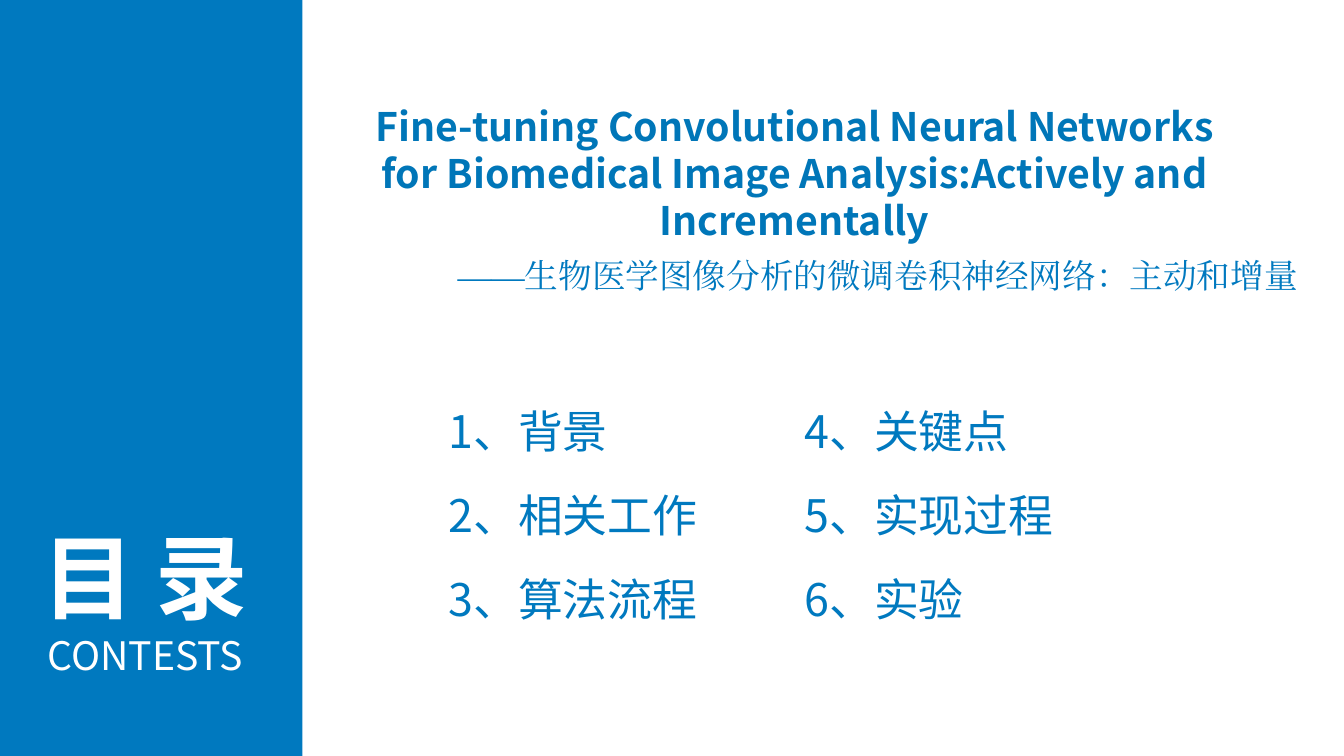
from dataclasses import dataclass

from lxml.etree import SubElement
from pptx import Presentation
from pptx.dml.color import RGBColor
from pptx.enum.shapes import MSO_SHAPE
from pptx.enum.text import MSO_ANCHOR, MSO_AUTO_SIZE, PP_ALIGN
from pptx.oxml.ns import qn
from pptx.util import Inches, Pt

COLORS = {"blue": "0079BF", "title": "0076B8", "white": "FFFFFF"}
SANS, SERIF = "Noto Sans CJK SC", "Times New Roman"
WIDTH, HEIGHT = 13.33, 7.5

# Agenda grid, in inches
GRID_LEFT, GRID_TOP = 4.35, 3.96
COLUMN_STEP, ROW_STEP = 3.53, 0.83
ENTRY_WIDTH, ENTRY_HEIGHT = 4.64, 0.64


@dataclass
class Entry:
    text: str
    column: int
    row: int


ENTRIES = [
    Entry("1、背景", 0, 0),
    Entry("2、相关工作", 0, 1),
    Entry("3、算法流程", 0, 2),
    Entry("4、关键点", 1, 0),
    Entry("5、实现过程", 1, 1),
    Entry("6、实验", 1, 2),
]


def write(para, text: str, *, size: float, color: str = "blue", font: str = SANS,
          bold: bool = False, align=PP_ALIGN.LEFT, spacing: float | None = None) -> None:
    """Fill a paragraph with one formatted span."""
    para.alignment = align
    para.line_spacing = spacing
    span = para.add_run()
    span.text = text
    span.font.size = Pt(size)
    span.font.bold = bold
    span.font.name = font
    span.font.color.rgb = RGBColor.from_string(COLORS[color])
    SubElement(span.font._element, qn("a:ea"), typeface=font)


def add_block(page, left: float, top: float, width: float, height: float):
    """Draw a plain blue rectangle."""
    block = page.shapes.add_shape(MSO_SHAPE.RECTANGLE, Inches(left), Inches(top),
                                  Inches(width), Inches(height))
    block.shadow.inherit = False
    block.fill.solid()
    block.fill.fore_color.rgb = RGBColor.from_string(COLORS["blue"])
    block.line.fill.background()
    return block


def add_label(page, text: str, left: float, top: float, width: float, height: float,
              **style) -> None:
    """Add a one-line text box."""
    box = page.shapes.add_textbox(Inches(left), Inches(top), Inches(width), Inches(height))
    box.text_frame.word_wrap = True
    write(box.text_frame.paragraphs[0], text, **style)


def main() -> None:
    deck = Presentation()
    deck.slide_width, deck.slide_height = Inches(WIDTH), Inches(HEIGHT)
    page = deck.slides.add_slide(deck.slide_layouts[5])

    # Side panel with its heading
    add_block(page, 0, 0, 3, HEIGHT)
    heading = add_block(page, 0.13, 5.23, 2.62, 1.43).text_frame
    heading.word_wrap = True
    heading.vertical_anchor = MSO_ANCHOR.MIDDLE
    write(heading.paragraphs[0], "目 录", size=66, color="white", bold=True,
          align=PP_ALIGN.CENTER)
    write(heading.add_paragraph(), "CONTESTS", size=28, color="white",
          align=PP_ALIGN.CENTER)

    # Title and subtitle
    title = page.shapes.title
    title.left, title.top = Inches(3.55), Inches(0.96)
    title.width, title.height = Inches(8.66), Inches(1.51)
    title.text_frame.auto_size = MSO_AUTO_SIZE.NONE
    title.text_frame.vertical_anchor = MSO_ANCHOR.TOP
    write(title.text_frame.paragraphs[0],
          "Fine-tuning Convolutional Neural Networks for Biomedical Image "
          "Analysis:Actively and Incrementally",
          size=28, color="title", bold=True, align=PP_ALIGN.CENTER)
    add_label(page, "——生物医学图像分析的微调卷积神经网络：主动和增量",
              4.44, 2.48, WIDTH - 4.44, 0.5, size=24, font=SERIF)

    # Agenda entries
    for entry in ENTRIES:
        add_label(page, entry.text, GRID_LEFT + entry.column * COLUMN_STEP,
                  GRID_TOP + entry.row * ROW_STEP, ENTRY_WIDTH, ENTRY_HEIGHT, size=32)

    deck.save("out.pptx")


if __name__ == "__main__":
    main()
